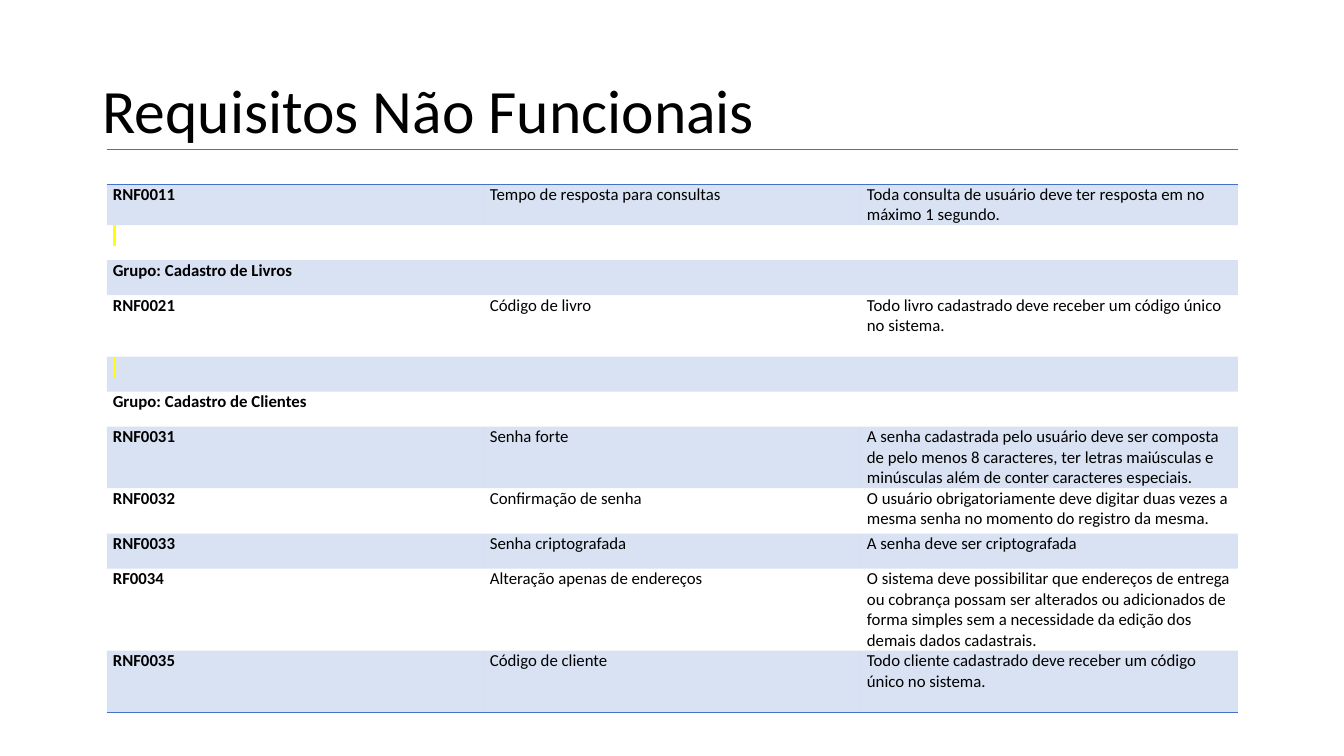
import pptx
import pptx.dml.color
import pptx.enum.text
import pptx.oxml.ns
import pptx.util
from lxml import etree
from pptx.util import Pt

TITLE = "Requisitos Não Funcionais"
FONT = "Calibri"
BLUE = "4472C4"
BLACK = "000000"
HIGHLIGHT = "FFFF00"
NO_STYLE = "{2D5ABB26-0587-4C30-8999-92F81FD0307C}"
MARK = "\N{NO-BREAK SPACE}"

ROWS = [
    (25, [""]),
    (29, ["RNF0011", "Tempo de resposta para consultas",
          "Toda consulta de usuário deve ter resposta em no máximo 1 segundo."]),
    (25, [MARK]),
    (25, ["Grupo: Cadastro de Livros"]),
    (44, ["RNF0021", "Código de livro",
          "Todo livro cadastrado deve receber um código único no sistema."]),
    (25, [MARK]),
    (25, ["Grupo: Cadastro de Clientes"]),
    (44, ["RNF0031", "Senha forte",
          "A senha cadastrada pelo usuário deve ser composta de pelo menos 8 caracteres, "
          "ter letras maiúsculas e minúsculas além de conter caracteres especiais."]),
    (32.5, ["RNF0032", "Confirmação de senha",
            "O usuário obrigatoriamente deve digitar duas vezes a mesma senha "
            "no momento do registro da mesma."]),
    (25, ["RNF0033", "Senha criptografada", "A senha deve ser criptografada"]),
    (58.5, ["RF0034", "Alteração apenas de endereços",
            "O sistema deve possibilitar que endereços de entrega ou cobrança possam ser "
            "alterados ou adicionados de forma simples sem a necessidade da edição dos "
            "demais dados cadastrais."]),
    (44, ["RNF0035", "Código de cliente",
          "Todo cliente cadastrado deve receber um código único no sistema."]),
]
COLUMNS = 3
TABLE_LEFT, TABLE_TOP, TABLE_WIDTH = 76.3, 106.6, 808
BORDERS = {0: ["lnT", "lnB"], len(ROWS) - 1: ["lnB"]}


def color(value):
    return pptx.dml.color.RGBColor.from_string(value)


def add_child(parent, tag, **attributes):
    return etree.SubElement(parent, pptx.oxml.ns.qn(tag), attributes)


def set_font(paragraph, size, bold=False):
    paragraph.font.name = FONT
    paragraph.font.size = Pt(size)
    paragraph.font.bold = bold
    paragraph.font.color.rgb = color(BLACK)


def add_border(cell, side):
    line = add_child(cell._tc.get_or_add_tcPr(), f"a:{side}", w=str(Pt(1)))
    add_child(add_child(line, "a:solidFill"), "a:srgbClr", val=BLUE)


def fill_cell(cell, banded):
    if not banded:
        cell.fill.background()
        return
    cell.fill.solid()
    cell.fill.fore_color.rgb = color(BLUE)
    tint = cell._tc.tcPr.find(".//" + pptx.oxml.ns.qn("a:solidFill") + "[last()]/*")
    for fill in cell._tc.tcPr.findall(pptx.oxml.ns.qn("a:solidFill")):
        tint = fill[0]
    add_child(tint, "a:alpha", val="20000")


def write_cell(cell, text, bold):
    paragraph = cell.text_frame.paragraphs[0]
    run = paragraph.add_run()
    run.text = text
    set_font(paragraph, 12, bold)
    if text == MARK:
        highlight = add_child(run._r.get_or_add_rPr(), "a:highlight")
        add_child(highlight, "a:srgbClr", val=HIGHLIGHT)


def add_title(slide):
    title = slide.shapes.title
    title.left, title.top, title.width, title.height = Pt(66), Pt(28.8), Pt(828), Pt(104.4)
    frame = title.text_frame
    frame.text = TITLE
    frame.auto_size = pptx.enum.text.MSO_AUTO_SIZE.NONE
    frame.vertical_anchor = pptx.enum.text.MSO_ANCHOR.MIDDLE
    paragraph = frame.paragraphs[0]
    paragraph.alignment = pptx.enum.text.PP_ALIGN.LEFT
    paragraph.line_spacing = 0.9
    set_font(paragraph, 44)


def add_requirements(slide):
    height = sum(row_height for row_height, texts in ROWS)
    shape = slide.shapes.add_table(len(ROWS), COLUMNS, Pt(TABLE_LEFT), Pt(TABLE_TOP),
                                   Pt(TABLE_WIDTH), Pt(height))
    table = shape.table
    table.first_row = table.horz_banding = False
    table._tbl.tblPr.find(pptx.oxml.ns.qn("a:tableStyleId")).text = NO_STYLE
    for column in table.columns:
        column.width = Pt(TABLE_WIDTH / COLUMNS)
    for row, (row_height, texts) in enumerate(ROWS):
        table.rows[row].height = Pt(row_height)
        for column in range(COLUMNS):
            cell = table.cell(row, column)
            cell.margin_left = cell.margin_right = Pt(4.3)
            cell.margin_top = cell.margin_bottom = 0
            for side in BORDERS.get(row, []):
                add_border(cell, side)
            fill_cell(cell, row % 2 == 1)
        if len(texts) == 1:
            table.cell(row, 0).merge(table.cell(row, COLUMNS - 1))
        for column, text in enumerate(texts):
            if text:
                write_cell(table.cell(row, column), text, column == 0)


def main():
    presentation = pptx.Presentation()
    presentation.slide_width, presentation.slide_height = Pt(960), Pt(540)
    slide = presentation.slides.add_slide(presentation.slide_layouts[5])
    add_title(slide)
    add_requirements(slide)
    presentation.save("out.pptx")


if __name__ == "__main__":
    main()
